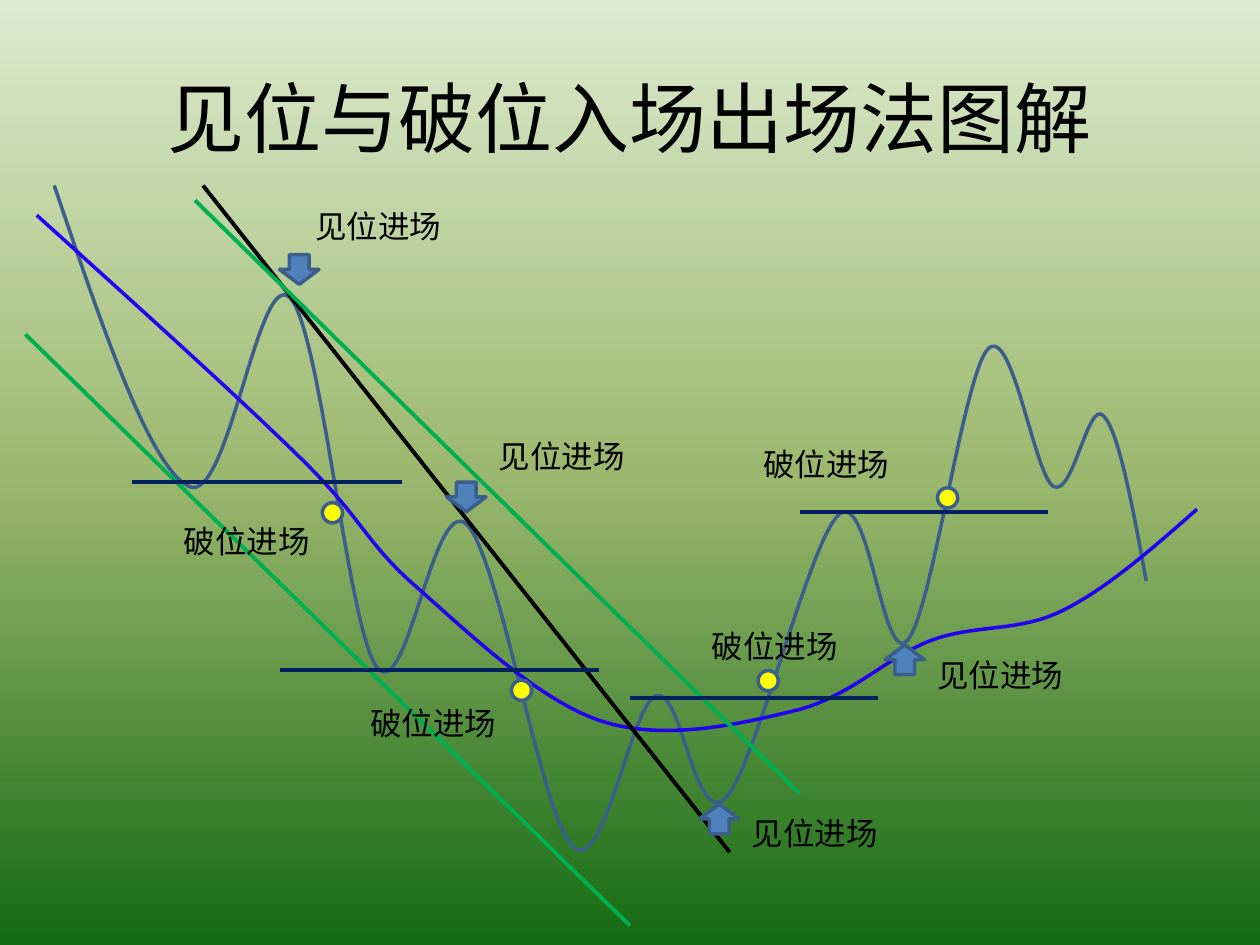
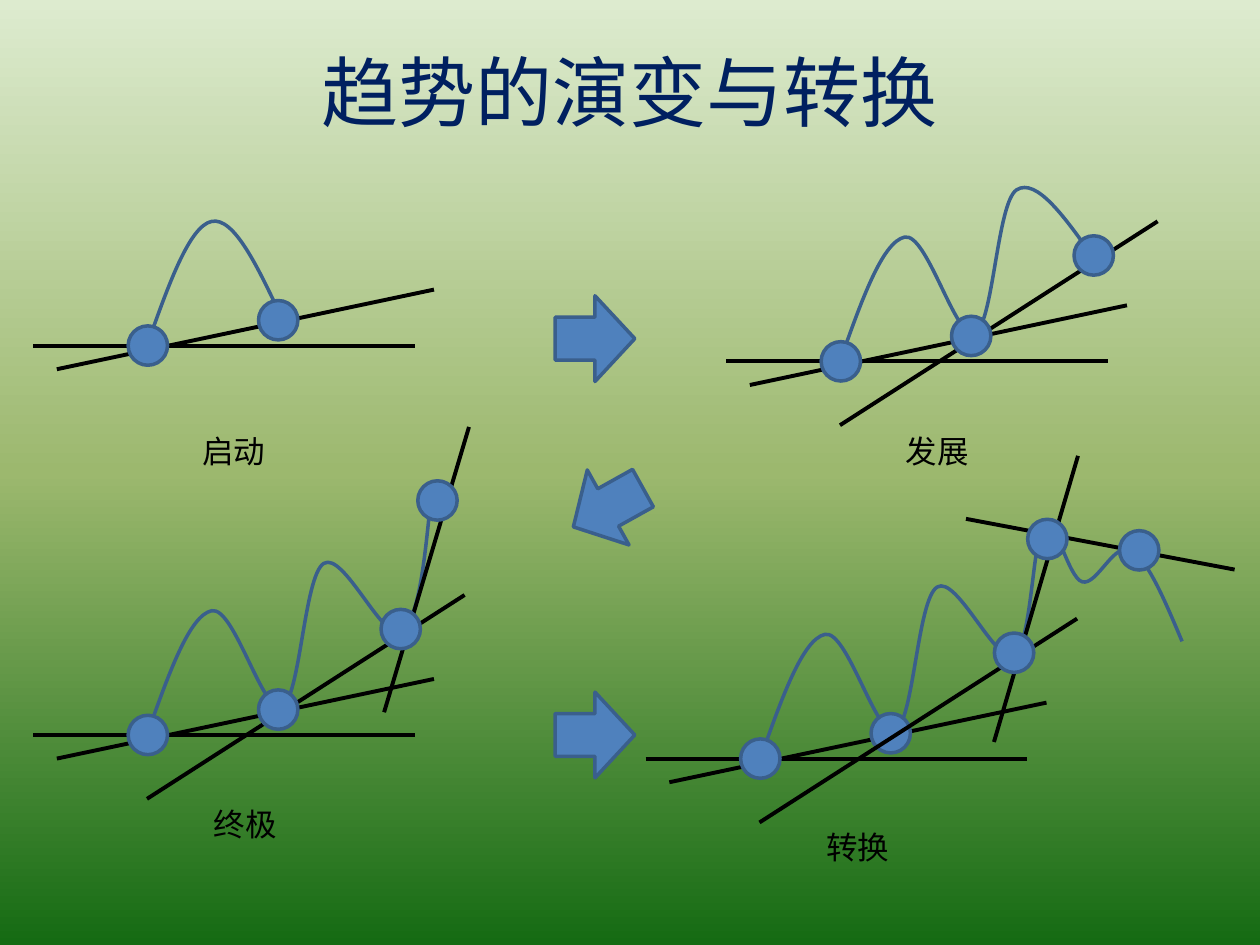
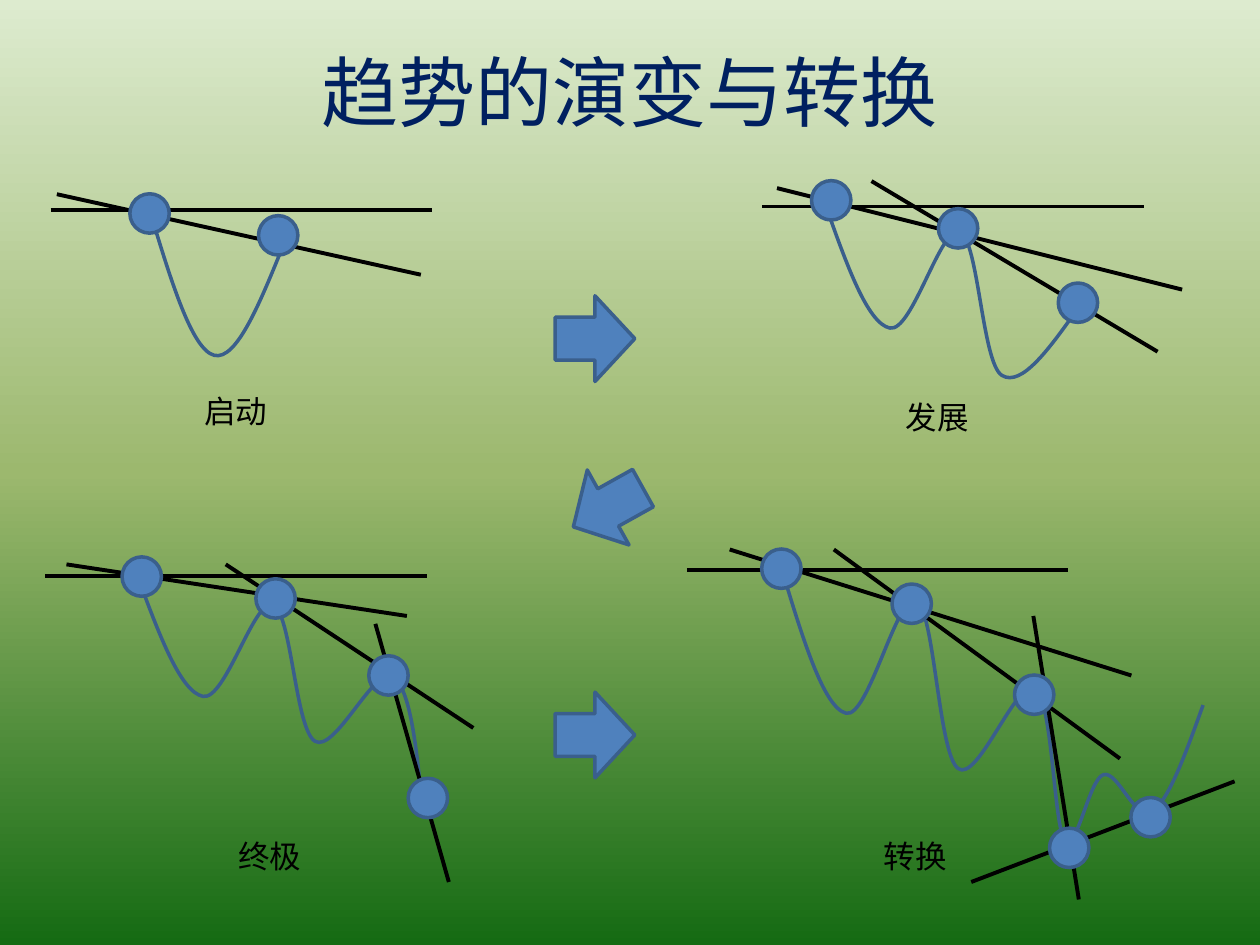
from copy import deepcopy

from lxml import etree
from pptx import Presentation
from pptx.dml.color import RGBColor
from pptx.enum.shapes import MSO_CONNECTOR, MSO_SHAPE as SHAPE
from pptx.enum.text import MSO_ANCHOR as ANCHOR, MSO_AUTO_SIZE as FIT, PP_ALIGN as ALIGN
from pptx.oxml.ns import qn
from pptx.util import Pt

FONT = "Noto Sans CJK SC"
BLACK, NAVY, GREEN, VIOLET = "000000", "002060", "00B050", "2301F1"
BLUE, STEEL, YELLOW = "4F81BD", "3A5F8C", "FFFF00"
BACKDROP = [(0, "DDEBCF"), (0.5, "9CB86E"), (1, "156B13")]
DOT = (22.5, 22.5)
BASE_WIDTH = 218
color = RGBColor.from_string


def add_line(slide, start, end, line_color=BLACK):
    """Draw a straight line between two points."""
    line = slide.shapes.add_connector(
        MSO_CONNECTOR.STRAIGHT, *[Pt(value) for value in (*start, *end)])
    line.line.color.rgb = color(line_color)
    line.line.width = Pt(2.25)
    etree.SubElement(line.element.spPr, qn("a:effectLst"))


def add_mark(slide, center, size=DOT, kind=SHAPE.OVAL, fill=BLUE, rotation=0):
    """Draw a preset shape around its centre."""
    (x, y), (width, height) = center, size
    mark = slide.shapes.add_shape(
        kind, Pt(x - width / 2), Pt(y - height / 2), Pt(width), Pt(height))
    mark.rotation = rotation
    mark.shadow.inherit = False
    mark.fill.solid()
    mark.fill.fore_color.rgb = color(fill)
    mark.line.color.rgb = color(STEEL)
    mark.line.width = Pt(2)


prs = Presentation()
prs.slide_width, prs.slide_height = Pt(720), Pt(540)
entries, rising, falling = [prs.slides.add_slide(prs.slide_layouts[6]) for _ in range(3)]

# Shared background
for slide in prs.slides:
    backdrop = slide.background.fill
    backdrop.gradient()
    backdrop.gradient_angle = 270
    stop_list = slide.element.find(".//" + qn("a:gsLst"))
    stop_list.append(deepcopy(stop_list[0]))
    for stop, (position, stop_color) in zip(backdrop.gradient_stops, BACKDROP):
        stop.position = position
        stop.color.rgb = color(stop_color)

# Curves by their turning points
price = [(31, 106), (108, 278), (165.5, 170), (215.5, 381.5), (266.5, 299.5),
         (327.5, 484), (375, 397.5), (414.5, 456), (479.5, 294), (518.5, 366),
         (564.5, 199.5), (602, 278), (630.5, 237.5), (655, 332)]
average = [(21, 123), (171.5, 261.5), (237.5, 335), (343.5, 412),
           (454.5, 406), (532, 366), (607, 349), (684, 291)]
curves = [(entries, STEEL, price), (entries, VIOLET, average)]

# Every trend stage shows the start of one swing, stretched up or down
swing = [(0, 0), (37, 71), (77, 16), (101, 98), (145, 59),
         (162, 133), (184, 101), (212, 119), (241, 67)]
for slide, (left, top), stretch, count in [
    (rising, (84, 197.5), -1, 3), (rising, (480, 206.5), -1, 5),
    (rising, (84, 420), -1, 6), (rising, (434.5, 433.5), -1, 9),
    (falling, (85.5, 120), 1.17, 3), (falling, (471.5, 116.5), 1, 5),
    (falling, (79, 330.5), 0.95, 6), (falling, (446.5, 324.5), 1.17, 9),
]:
    curves.append((slide, STEEL, [(left + x, top + y * stretch) for x, y in swing[:count]]))

for slide, curve_color, knots in curves:
    # The handles of a knot run parallel to the chord between its neighbours
    arrive, leave = [], []
    for before, knot, after in zip(knots, knots[1:], knots[2:]):
        lean = [(b - a) / 6 for a, b in zip(before, after)]
        arrive.append([k - step for k, step in zip(knot, lean)])
        leave.append([k + step for k, step in zip(knot, lean)])
    leave.insert(0, [(a + b) / 2 for a, b in zip(knots[0], arrive[0])])
    arrive.append([(a + b) / 2 for a, b in zip(leave[-1], knots[-1])])
    points = [point for segment in zip(leave, arrive, knots[1:]) for point in segment]

    builder = slide.shapes.build_freeform(*[Pt(value) for value in knots[0]])
    builder.add_line_segments([(Pt(x), Pt(y)) for x, y in points], close=False)
    curve = builder.convert_to_shape()
    curve.shadow.inherit = False
    curve.fill.background()
    curve.line.color.rgb = color(curve_color)
    curve.line.width = Pt(2)
    # Turn every three straight steps into one Bezier segment
    outline = curve.element.find(".//" + qn("a:path"))
    steps = outline.findall(qn("a:lnTo"))
    for first in range(0, len(steps), 3):
        bezier = etree.SubElement(outline, qn("a:cubicBezTo"))
        for step in steps[first:first + 3]:
            bezier.append(step[0])
            outline.remove(step)

# Entry slide: channel, trend line, support and resistance levels
for start, end, line_color in [
    ((14.5, 191), (360, 529), GREEN),
    ((116, 106), (417, 487), BLACK),
    ((111.5, 114.5), (457, 453.5), GREEN),
]:
    add_line(entries, start, end, line_color)
for left, right, level in [
    (75.5, 229.5, 275.5), (160, 342.5, 383), (360, 502, 399), (457, 599, 292.5),
]:
    add_line(entries, (left, level), (right, level), NAVY)
for center, kind in [
    ((411, 468), SHAPE.UP_ARROW), ((517, 377), SHAPE.UP_ARROW),
    ((171, 154), SHAPE.DOWN_ARROW), ((266.5, 284), SHAPE.DOWN_ARROW),
]:
    add_mark(entries, center, (22.5, 17), kind)
for center in [(439, 389), (190, 293), (298, 394.5), (541.5, 284.5)]:
    add_mark(entries, center, (11.5, 11.5), fill=YELLOW)

# Rising trend: the same lines and turns, moved for each stage
trend_lines = [((248, 165.5), (32.5, 211)), ((19, 197.5), (19 + BASE_WIDTH, 197.5)),
               ((265.5, 117.5), (84, 234))]
turns = [(84.5, 197.5), (159, 183)]
for dx, dy, line_count in [(0, 0, 2), (396, 9, 3), (0, 222.5, 3), (350, 236, 2)]:
    for start, end in trend_lines[:line_count]:
        add_line(rising, (start[0] + dx, start[1] + dy), (end[0] + dx, end[1] + dy))
    for x, y in turns:
        add_mark(rising, (x + dx, y + dy))

# Rising trend: steepest lines and later turns
for start, end in [
    ((268, 244), (219.5, 407)),
    ((615.5, 353.5), (434, 470)),
    ((616, 260.5), (568, 424)),
    ((705.5, 325.5), (552, 296.5)),
]:
    add_line(rising, start, end)
for center in [(625, 146), (229, 359.5), (250, 286),
               (579.5, 373), (598.5, 308), (651, 314.5)]:
    add_mark(rising, center)

# Falling trend
for left, level in [(29, 120), (435.5, 118), (26, 329), (392.5, 325.5)]:
    add_line(falling, (left, level), (left + BASE_WIDTH, level))
for start, end in [
    ((240.5, 157), (32.5, 111)),
    ((675.5, 165.5), (444, 107.5)), ((661.5, 201), (498, 103.5)),
    ((232.5, 352), (38, 322.5)), ((270.5, 416), (129, 322.5)),
    ((256.5, 504), (214.5, 356.5)),
    ((646.5, 386), (417, 314)), ((616.5, 514), (590.5, 352)),
    ((476.5, 314), (640, 433.5)), ((705.5, 446.5), (555, 504)),
]:
    add_line(falling, start, end)
for center in [
    (85.5, 122), (159, 134.5),
    (475, 114.5), (547.5, 130.5), (616, 173),
    (81, 329.5), (157.5, 342), (222, 386), (244.5, 456),
    (446.5, 325), (521, 345), (591, 397), (611, 484.5), (657.5, 467),
]:
    add_mark(falling, center)

# Arrows from stage to stage
for slide in (rising, falling):
    for center, rotation in [((340, 193.5), 0), ((347.5, 290), 150.9), ((340, 420), 0)]:
        add_mark(slide, center, (45.5, 49), SHAPE.RIGHT_ARROW, rotation=rotation)

# Titles: slide, wording, height, colour
titles = [
    (entries, "见位与破位入场出场法图解", 90, BLACK),
    (rising, "趋势的演变与转换", 61, NAVY),
    (falling, "趋势的演变与转换", 61, NAVY),
]
# Labels: slide, wordings, left and top corners
stages = ["启动", "发展", "终极", "转换"]
labels = [
    (entries, ["见位进场"] * 4, [(422.5, 461.5), (278, 246), (173, 114.5), (528.5, 371.5)]),
    (entries, ["破位进场"] * 4, [(399.5, 355), (98, 295), (204.5, 399), (429, 250.5)]),
    (rising, stages, [(108.5, 243.5), (510.5, 243.5), (115, 456.5), (465, 469.5)]),
    (falling, stages, [(109.5, 220.5), (510.5, 224), (129, 475), (498, 475)]),
]
texts = [(slide, wording, (36, 21.5, 648, height), 44, text_color)
         for slide, wording, height, text_color in titles]
texts += [(slide, wording, (x, y, 18 * len(wording) + 15, 29), 18, BLACK)
          for slide, wordings, corners in labels
          for wording, (x, y) in zip(wordings, corners)]
for slide, wording, place, size, text_color in texts:
    box = slide.shapes.add_textbox(*[Pt(value) for value in place])
    frame = box.text_frame
    frame.text = wording
    paragraph = frame.paragraphs[0]
    if size == 44:
        frame.word_wrap = True
        frame.vertical_anchor = ANCHOR.MIDDLE
        paragraph.alignment = ALIGN.CENTER
    else:
        frame.word_wrap = False
        frame.auto_size = FIT.SHAPE_TO_FIT_TEXT
    font = paragraph.runs[0].font
    font.name = FONT
    font.size = Pt(size)
    font.color.rgb = color(text_color)
    run_style = box.element.find(".//" + qn("a:rPr"))
    etree.SubElement(run_style, qn("a:ea"), typeface=FONT)

prs.save("out.pptx")
